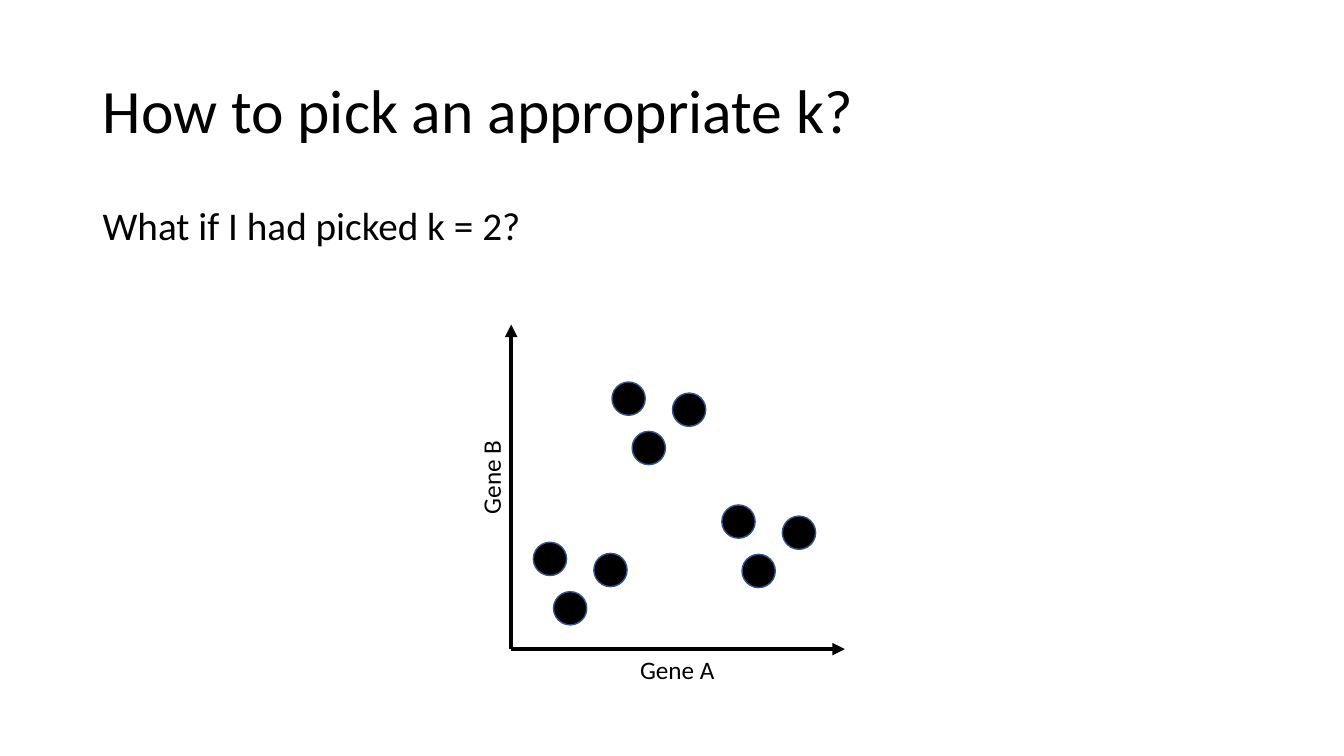
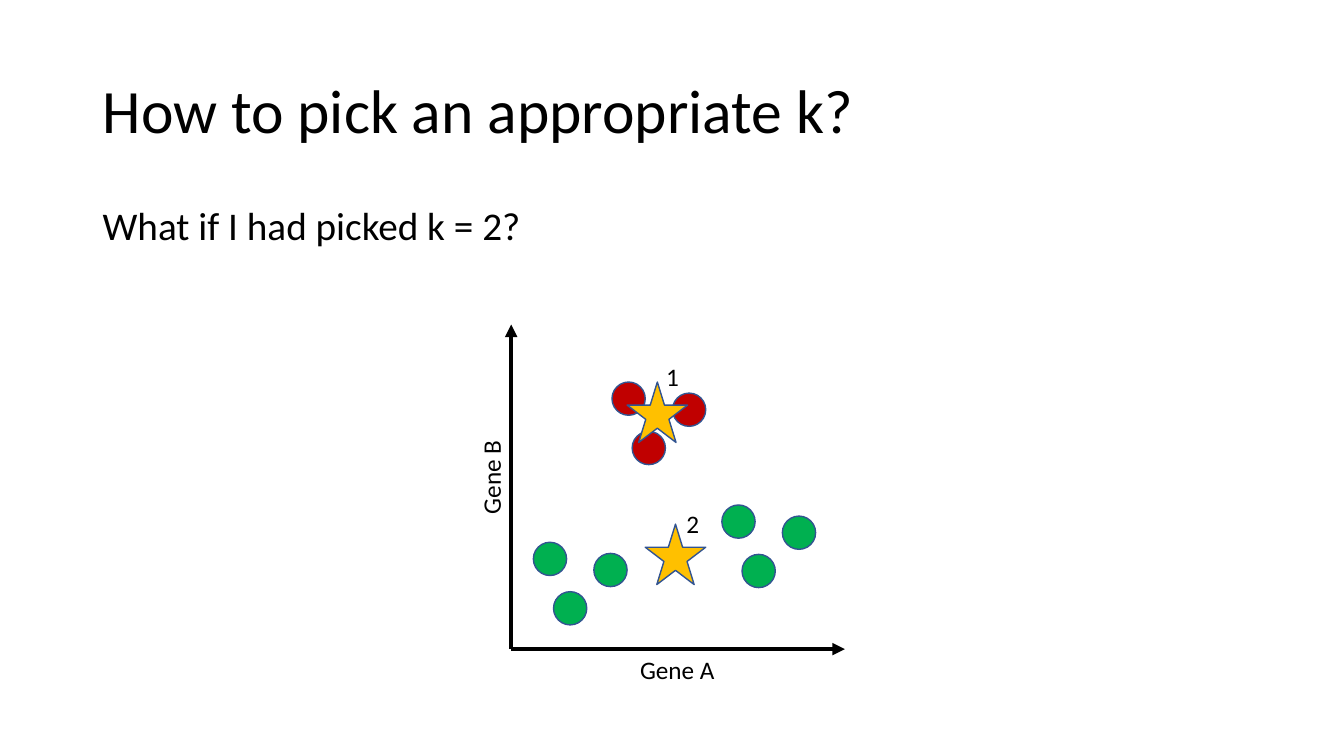
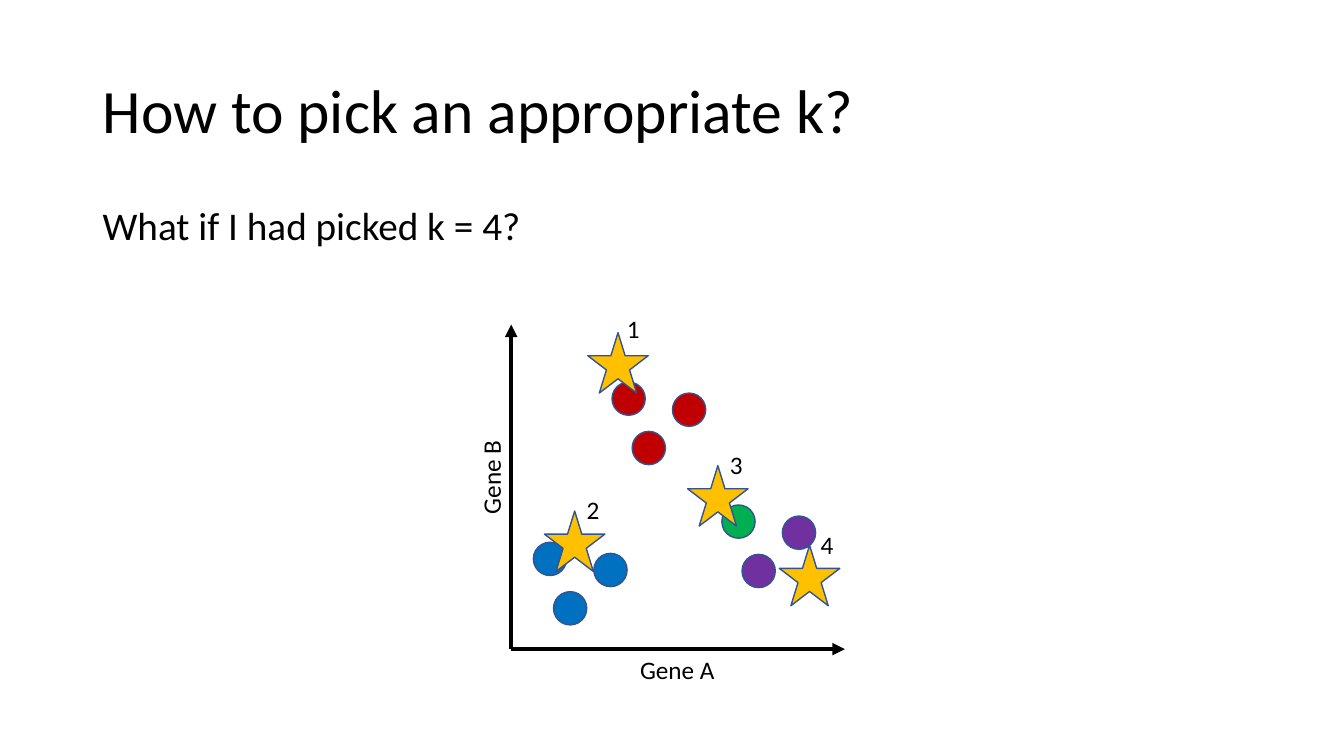
"""Build three slides on choosing k for k-means clustering of gene expression."""
from pptx import Presentation
from pptx import util as u
from pptx.dml.color import RGBColor
from pptx.enum import shapes, text
from pptx.oxml import parse_xml
from pptx.oxml.ns import nsdecls

PX = 9144
SLIDE_SIZE = (1333, 750)
FONT = "Calibri"
COLORS = {
    "black": "000000",
    "outline": "325491",
    "star": "FFC000",
    "red": "C00000",
    "green": "00B050",
    "blue": "0070C0",
    "purple": "7030A0",
}

TITLE = "How to pick an appropriate k?"
TITLE_BOX = (92, 40, 1150, 145)
QUESTION_BOX = (92, 200, 1150, 476)
AXIS_LABELS = [
    ("Gene A", (625, 644, 95, 40), 0),
    ("Gene B", (440, 453, 94, 40), 270),
]
ORIGIN = (507, 644)
AXIS_ENDS = [(838, 644), (507, 322)]

DOT_SIZE, STAR_SIZE = 33, 60
LABEL_SIZE = (33, 40)
CLUSTERS = [(529, 538), (607, 379), (716, 501)]
DOT_OFFSETS = [(0, 0), (20, 49), (60, 11)]

SLIDES = [
    {
        "question": "What if I had picked k = 2?",
        "dots": [["black"] * 3] * 3,
        "centroids": [],
    },
    {
        "question": "What if I had picked k = 2?",
        "dots": [["green"] * 3, ["red"] * 3, ["green"] * 3],
        "centroids": [((622, 379), (651, 354)), ((640, 520), (671, 499))],
    },
    {
        "question": "What if I had picked k = 4?",
        "dots": [["blue"] * 3, ["red"] * 3, ["green", "purple", "purple"]],
        "centroids": [
            ((583, 330), (612, 306)),
            ((540, 507), (572, 485)),
            ((682, 462), (714, 441)),
            ((773, 541), (804, 520)),
        ],
    },
]

HEADING = {"line_spacing": 0.9}
BODY = {"line_spacing": 0.9, "space_before": u.Pt(10)}


def px(*lengths):
    return [u.Emu(length * PX) for length in lengths]


def color(name):
    return RGBColor.from_string(COLORS[name])


def apply(target, values):
    for name, value in values.items():
        setattr(target, name, value)


def add_text(slide, box, words, size, spacing=None, rotation=0, **frame_format):
    shape = slide.shapes.add_textbox(*px(*box))
    shape.rotation = rotation
    apply(shape.text_frame, {"word_wrap": True, **frame_format})
    paragraph = shape.text_frame.paragraphs[0]
    apply(paragraph, spacing or {})
    run = paragraph.add_run()
    run.text = words
    apply(run.font, {"name": FONT, "size": u.Pt(size)})
    run.font.color.rgb = color("black")


def add_axis(slide, end):
    axis = slide.shapes.add_connector(shapes.MSO_CONNECTOR.STRAIGHT, *px(*ORIGIN, *end))
    axis.line.width = u.Pt(3)
    axis.line.color.rgb = color("black")
    arrowhead = parse_xml(f'<a:tailEnd {nsdecls("a")} type="triangle"/>')
    axis.line._get_or_add_ln().append(arrowhead)
    axis._element.spPr.append(parse_xml(f'<a:effectLst {nsdecls("a")}/>'))


def add_marker(slide, kind, corner, size, fill):
    marker = slide.shapes.add_shape(kind, *px(*corner, size, size))
    marker.shadow.inherit = False
    marker.fill.solid()
    marker.fill.fore_color.rgb = color(fill)
    marker.line.color.rgb = color("outline")
    marker.line.width = u.Pt(1)


def add_plot(slide, dots, centroids):
    for words, box, rotation in AXIS_LABELS:
        add_text(slide, box, words, 18, rotation=rotation, word_wrap=False)
    for end in AXIS_ENDS:
        add_axis(slide, end)
    for (left, top), fills in zip(CLUSTERS, dots):
        for (dx, dy), fill in zip(DOT_OFFSETS, fills):
            corner = (left + dx, top + dy)
            add_marker(slide, shapes.MSO_SHAPE.OVAL, corner, DOT_SIZE, fill)
    for number, (star, label) in enumerate(centroids, 1):
        add_marker(slide, shapes.MSO_SHAPE.STAR_5_POINT, star, STAR_SIZE, "star")
        add_text(slide, (*label, *LABEL_SIZE), str(number), 18, word_wrap=False)


def main():
    presentation = Presentation()
    presentation.slide_width, presentation.slide_height = px(*SLIDE_SIZE)
    for content in SLIDES:
        slide = presentation.slides.add_slide(presentation.slide_layouts[6])
        add_text(slide, TITLE_BOX, TITLE, 44, HEADING,
                 vertical_anchor=text.MSO_ANCHOR.MIDDLE)
        add_text(slide, QUESTION_BOX, content["question"], 28, BODY)
        add_plot(slide, content["dots"], content["centroids"])
    presentation.save("out.pptx")


if __name__ == "__main__":
    main()
